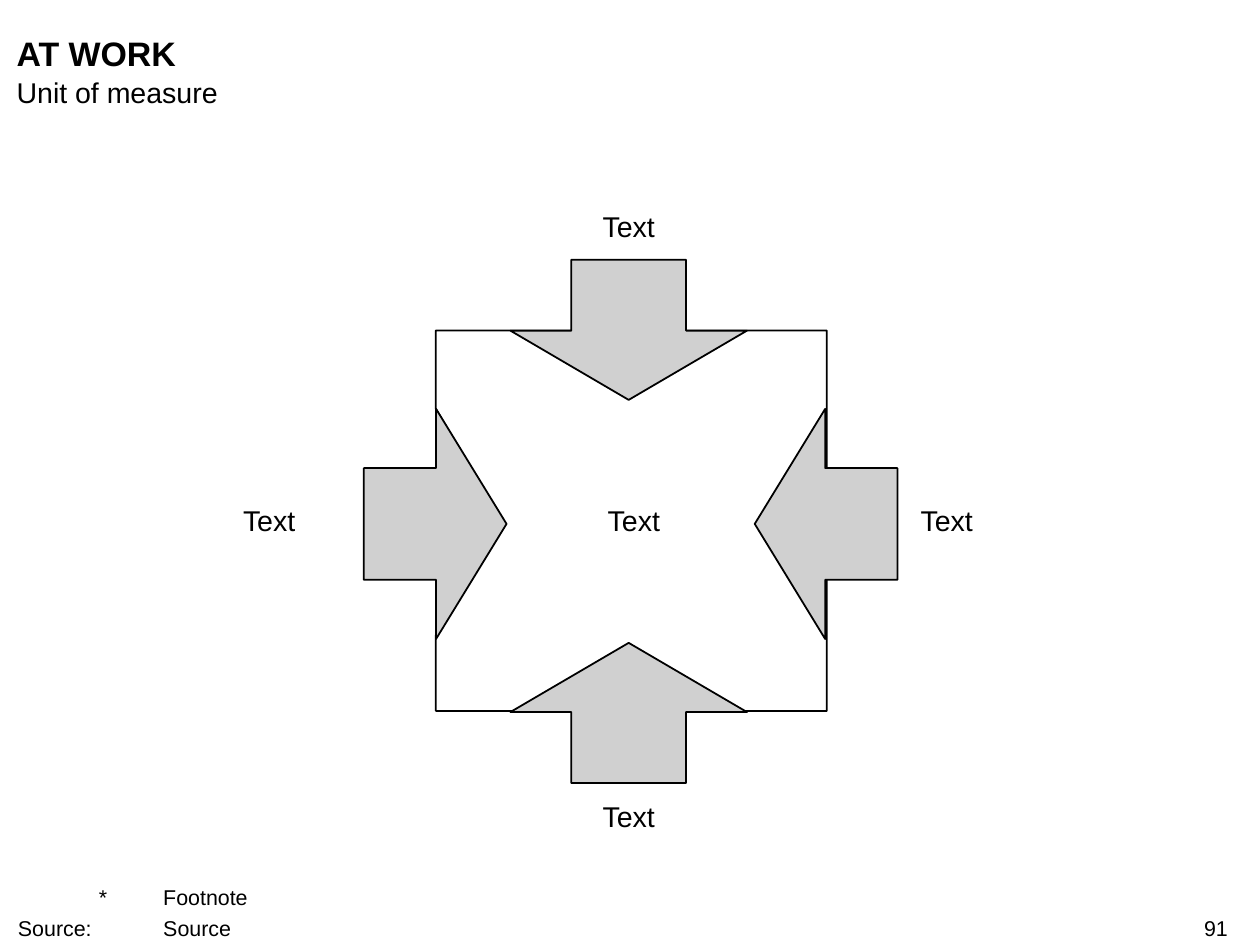
from dataclasses import dataclass

from lxml.etree import SubElement
from pptx import Presentation
from pptx.dml.color import RGBColor
from pptx.enum.shapes import MSO_SHAPE as Kind
from pptx.enum.text import MSO_ANCHOR as Anchor, PP_ALIGN as Align
from pptx.oxml.ns import qn
from pptx.shapes.autoshape import Shape
from pptx.slide import Slide
from pptx.util import Inches, Pt


@dataclass(frozen=True)
class Theme:
    ink: RGBColor = RGBColor(0, 0, 0)
    paper: RGBColor = RGBColor(255, 255, 255)
    gray: RGBColor = RGBColor(0xD0, 0xD0, 0xD0)
    font: str = "Arial"
    head: int = 19
    body: int = 16
    note: int = 12
    line: int = 1


@dataclass(frozen=True)
class Box:
    left: float
    top: float
    width: float
    height: float


@dataclass(frozen=True)
class Arrow:
    kind: Kind
    box: Box


@dataclass(frozen=True)
class Label:
    text: str
    box: Box
    size: int
    align: Align = Align.LEFT
    anchor: Anchor = Anchor.TOP
    bold: bool = False


THEME = Theme()
FRAME = [(3.39, 2.57), (3.39, 3.18), (3.91, 4.05), (3.39, 4.94),
         (3.39, 5.53), (6.43, 5.53), (6.43, 2.57)]
ARROWS = [
    Arrow(Kind.RIGHT_ARROW, Box(2.83, 3.18, 1.11, 1.79)),
    Arrow(Kind.LEFT_ARROW, Box(5.87, 3.18, 1.11, 1.79)),
    Arrow(Kind.DOWN_ARROW, Box(3.97, 2.02, 1.84, 1.09)),
    Arrow(Kind.UP_ARROW, Box(3.97, 5.0, 1.84, 1.09)),
]
LABELS = [
    Label("Text", Box(4.48, 1.62, 0.82, 0.27), THEME.body, Align.CENTER, Anchor.BOTTOM),
    Label("Text", Box(1.89, 3.91, 0.82, 0.27), THEME.body, anchor=Anchor.MIDDLE),
    Label("Text", Box(4.09, 3.91, 1.68, 0.27), THEME.body, Align.CENTER, Anchor.MIDDLE),
    Label("Text", Box(7.16, 3.91, 0.82, 0.27), THEME.body, anchor=Anchor.MIDDLE),
    Label("Text", Box(4.48, 6.21, 0.82, 0.27), THEME.body, Align.CENTER, Anchor.MIDDLE),
    Label("AT WORK", Box(0.13, 0.25, 9.43, 0.32), THEME.head, bold=True),
    Label("Unit of measure", Box(0.13, 0.58, 9.43, 0.27), THEME.body),
    Label("91", Box(7.51, 7.12, 2.04, 0.2), THEME.note, Align.RIGHT),
]
NOTES = Label("\t*\tFootnote\nSource:\t\tSource", Box(0.14, 6.88, 8.93, 0.44),
              THEME.note, anchor=Anchor.BOTTOM)
TABS = [(0, "l"), (0.58, "r")] + [(0.98 * step, "l") for step in range(1, 7)]
INDENT = 0.63


def place(box: Box) -> tuple[Inches, ...]:
    return tuple(Inches(x) for x in (box.left, box.top, box.width, box.height))


def paint(shape: Shape, fill: RGBColor) -> None:
    shape.shadow.inherit = False
    shape.fill.solid()
    shape.fill.fore_color.rgb = fill
    shape.line.color.rgb = THEME.ink
    shape.line.width = Pt(THEME.line)


def draw_frame(slide: Slide) -> None:
    start, *rest = [(Inches(x), Inches(y)) for x, y in FRAME]
    pen = slide.shapes.build_freeform(*start)
    pen.add_line_segments(rest, close=True)
    paint(pen.convert_to_shape(), THEME.paper)


def draw_arrow(slide: Slide, arrow: Arrow) -> None:
    shape = slide.shapes.add_shape(arrow.kind, *place(arrow.box))
    shape.adjustments[0] = 0.485
    shape.adjustments[1] = 0.494
    paint(shape, THEME.gray)


def draw_label(slide: Slide, label: Label) -> Shape:
    shape = slide.shapes.add_textbox(*place(label.box))
    frame = shape.text_frame
    frame.margin_left = frame.margin_right = 0
    frame.margin_top = frame.margin_bottom = 0
    frame.word_wrap = True
    frame.vertical_anchor = label.anchor
    frame.text = label.text
    for para in frame.paragraphs:
        para.alignment = label.align
        for run in para.runs:
            run.font.name = THEME.font
            run.font.size = Pt(label.size)
            run.font.bold = label.bold
            run.font.color.rgb = THEME.ink
    return shape


def draw_notes(slide: Slide) -> None:
    paras = draw_label(slide, NOTES).text_frame.paragraphs
    paras[1].space_before = Pt(3)
    for para in paras:
        props = para._p.get_or_add_pPr()
        props.set("marL", str(Inches(INDENT)))
        props.set("indent", str(Inches(-INDENT)))
        stops = SubElement(props, qn("a:tabLst"))
        for pos, side in TABS:
            SubElement(stops, qn("a:tab"), pos=str(Inches(pos)), algn=side)


def main() -> None:
    deck = Presentation()
    deck.slide_width = Inches(9.8)
    deck.slide_height = Inches(7.35)
    slide = deck.slides.add_slide(deck.slide_layouts[6])
    draw_frame(slide)
    for arrow in ARROWS:
        draw_arrow(slide, arrow)
    for label in LABELS:
        draw_label(slide, label)
    draw_notes(slide)
    deck.save("out.pptx")


if __name__ == "__main__":
    main()
